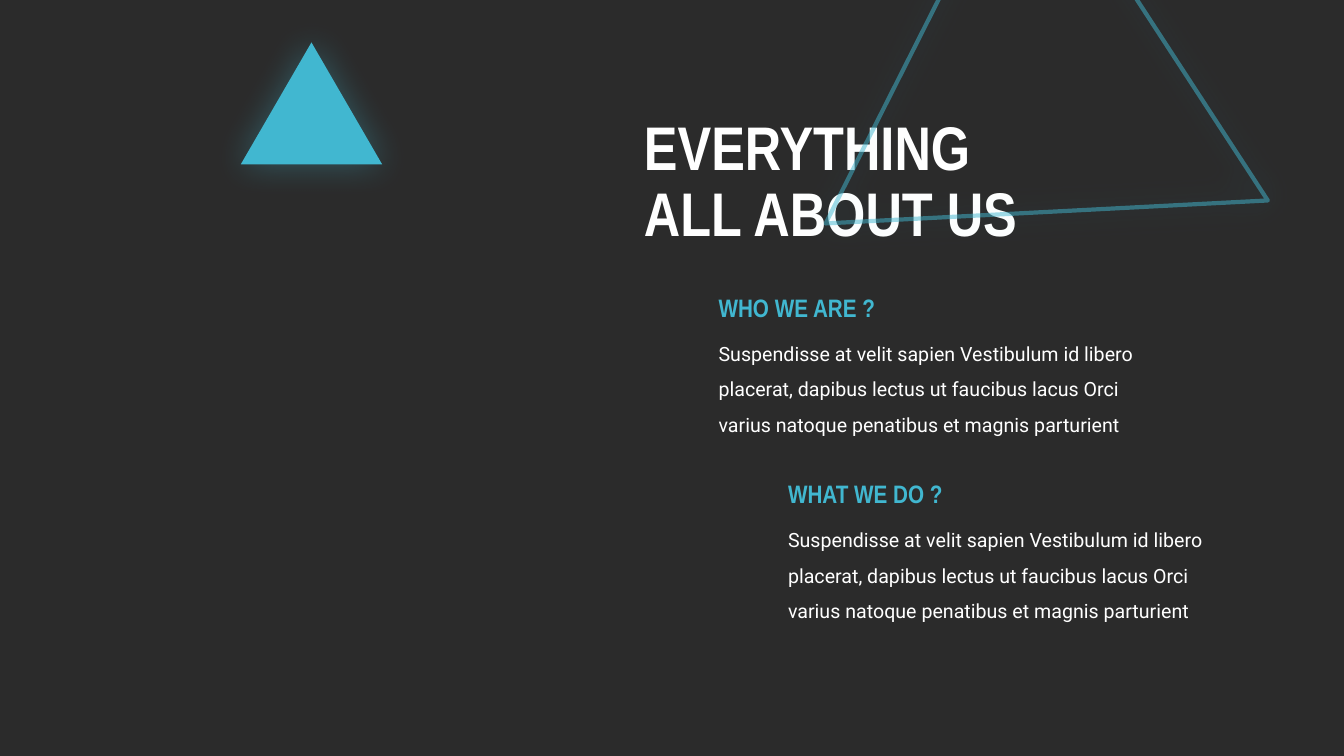
from dataclasses import dataclass

from pptx import Presentation
from pptx import util as u
from pptx.dml.color import RGBColor
from pptx.enum import shapes, text
from pptx.oxml.ns import qn
from lxml import etree

DARK = RGBColor(0x2B, 0x2B, 0x2B)
WHITE = RGBColor(0xFF, 0xFF, 0xFF)
CYAN = RGBColor(0x41, 0xB7, 0xD0)
HEADING_FONT = "Arial Narrow"
BODY_FONT = "Roboto"
BODY = (
    "Suspendisse at velit sapien Vestibulum id libero placerat, dapibus lectus "
    "ut faucibus lacus Orci varius natoque penatibus et magnis parturient"
)


@dataclass(frozen=True)
class Box:
    """A place on the slide, in centimetres."""
    left: float
    top: float
    width: float
    height: float

    def lengths(self) -> tuple:
        return tuple(u.Cm(v) for v in (self.left, self.top, self.width, self.height))


@dataclass(frozen=True)
class Triangle:
    box: Box
    filled: bool
    rotation: float = 0


@dataclass(frozen=True)
class Section:
    heading: str
    body: str


TRIANGLES = [
    Triangle(Box(19.25, -1.83, 11.2, 9.65), filled=False, rotation=236.9),
    Triangle(Box(6.07, 1.07, 3.56, 3.07), filled=True),
]
SECTIONS = [Section("WHO WE ARE ?", BODY), Section("WHAT WE DO ?", BODY)]
SECTION_LEFT, SECTION_TOP = 17.86, 7.24
SECTION_STEP_X, SECTION_STEP_Y = 1.75, 4.69
BODY_DROP = 0.96


def add_text(slide, box: Box, content: str, *, font: str, size: float,
             color: RGBColor = WHITE, bold: bool = False, spacing: float = 1.0,
             anchor=text.MSO_ANCHOR.TOP) -> None:
    tf = slide.shapes.add_textbox(*box.lengths()).text_frame
    tf.word_wrap = True
    tf.vertical_anchor = anchor
    p = tf.paragraphs[0]
    p.line_spacing = spacing
    for i, line in enumerate(content.split("\n")):
        if i:
            p.add_line_break()
        r = p.add_run()
        r.text = line
        r.font.name = font
        r.font.size = u.Pt(size)
        r.font.bold = bold
        r.font.color.rgb = color


def set_alpha(color_element, percent: int) -> None:
    etree.SubElement(color_element, qn("a:alpha"), val=str(percent * 1000))


def add_glow(sp, color: RGBColor, blur: float, opacity: int) -> None:
    """Put a soft coloured shadow evenly around a shape."""
    sp.shadow.inherit = False
    effects = sp._element.spPr.find(qn("a:effectLst"))
    shadow = etree.SubElement(effects, qn("a:outerShdw"), blurRad=str(u.Pt(blur)),
                              dist="0", dir="0", algn="ctr", rotWithShape="0")
    set_alpha(etree.SubElement(shadow, qn("a:srgbClr"), val=str(color)), opacity)


def add_triangle(slide, triangle: Triangle) -> None:
    sp = slide.shapes.add_shape(shapes.MSO_SHAPE.ISOSCELES_TRIANGLE,
                                *triangle.box.lengths())
    sp.rotation = triangle.rotation
    if triangle.filled:
        sp.fill.solid()
        sp.fill.fore_color.rgb = CYAN
        sp.line.fill.background()
    else:
        sp.fill.background()
        sp.line.color.rgb = CYAN
        sp.line.width = u.Pt(3)
        set_alpha(sp._element.spPr.find(f"{qn('a:ln')}//{qn('a:srgbClr')}"), 50)
    add_glow(sp, CYAN, blur=25, opacity=35)


def add_section(slide, section: Section, index: int) -> None:
    left = SECTION_LEFT + index * SECTION_STEP_X
    top = SECTION_TOP + index * SECTION_STEP_Y
    add_text(slide, Box(left, top + BODY_DROP, 11.46, 2.84), section.body,
             font=BODY_FONT, size=14, spacing=1.5)
    add_text(slide, Box(left, top, 6.22, 1.02), section.heading,
             font=HEADING_FONT, size=18, color=CYAN, bold=True)


def main() -> None:
    prs = Presentation()
    prs.slide_width, prs.slide_height = u.Cm(33.87), u.Cm(19.05)
    slide = prs.slides.add_slide(prs.slide_layouts[6])
    slide.background.fill.solid()
    slide.background.fill.fore_color.rgb = DARK

    add_text(slide, Box(15.98, 2.62, 14.27, 4.01), "EVERYTHING\nALL ABOUT US",
             font=HEADING_FONT, size=44, bold=True, spacing=0.9,
             anchor=text.MSO_ANCHOR.MIDDLE)
    for triangle in TRIANGLES:
        add_triangle(slide, triangle)
    for index, section in enumerate(SECTIONS):
        add_section(slide, section, index)

    prs.save("out.pptx")


if __name__ == "__main__":
    main()
